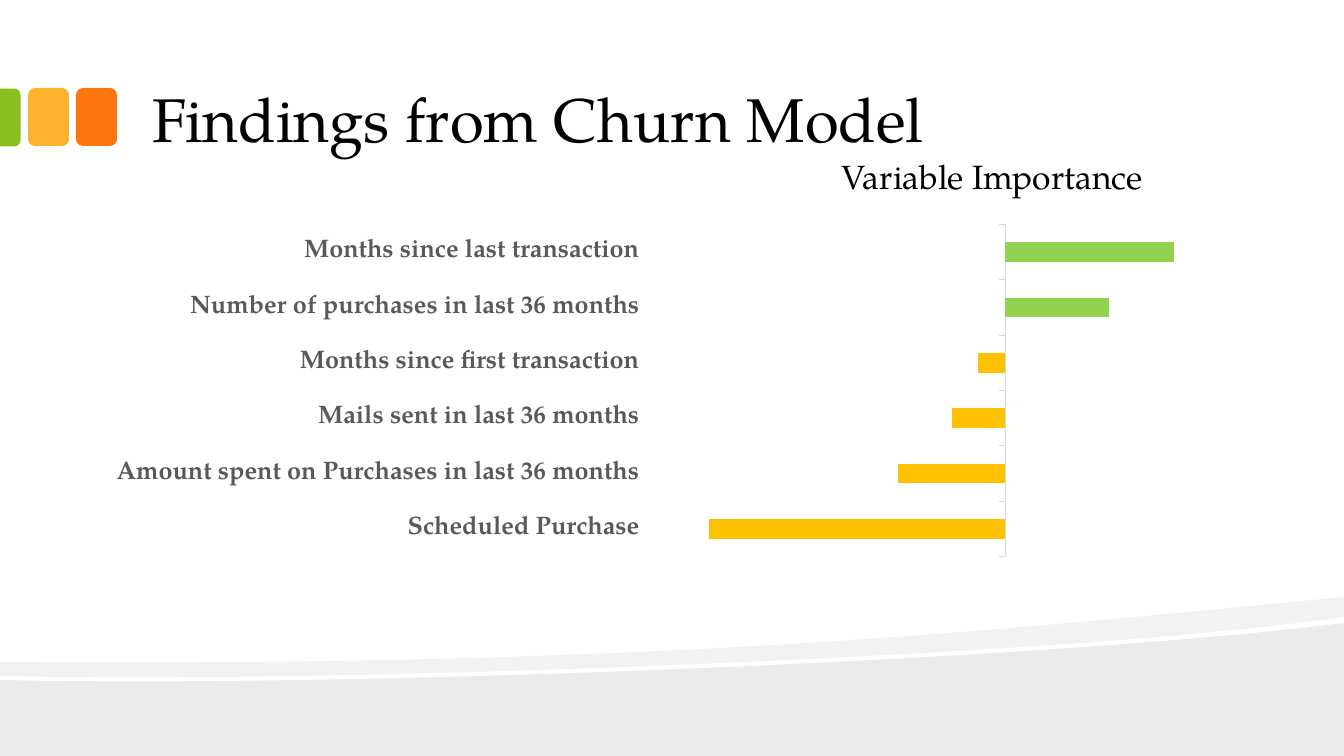
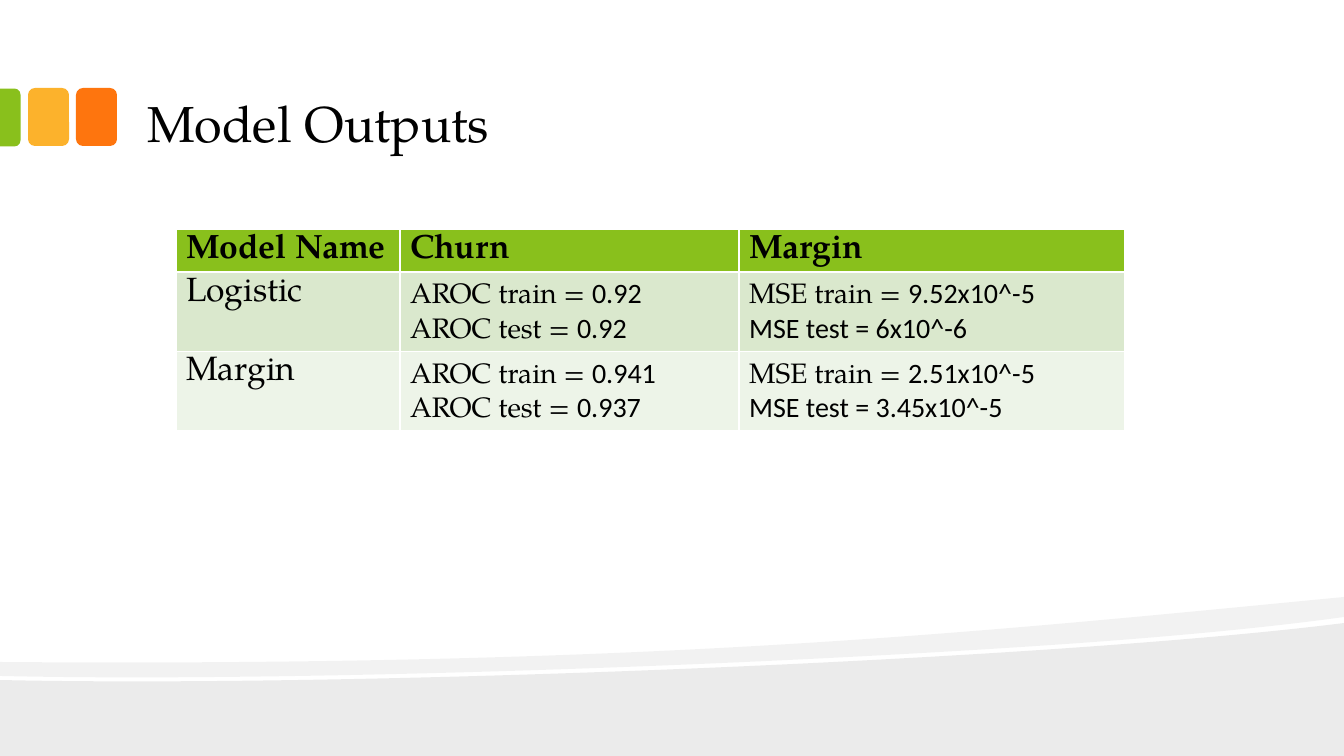
"""Build two slides on the findings and outputs of a churn model."""
from lxml.etree import SubElement
from pptx import Presentation
from pptx.chart.data import CategoryChartData
from pptx.dml.color import RGBColor
from pptx.enum.chart import XL_CHART_TYPE as ChartType, XL_TICK_LABEL_POSITION as LabelPosition
from pptx.enum.chart import XL_TICK_MARK as TickMark
from pptx.enum.shapes import MSO_SHAPE as Preset
from pptx.enum.text import MSO_ANCHOR as Anchor, MSO_AUTO_SIZE as AutoSize, PP_ALIGN as Align
from pptx.oxml import parse_xml
from pptx.oxml.ns import nsdecls, qn
from pptx.util import Pt

PX = 9071
SERIF, SANS = "TeX Gyre Pagella", "Calibri"
BLACK, GREY, RULE = "000000", "595959", "D9D9D9"
GREEN, YELLOW, ORANGE = "89C01C", "FCB22C", "FE750E"
POSITIVE, NEGATIVE = "92D050", "FFC000"
ROW_FILLS = [GREEN, "DAE8CD", "EDF4E8"]


def paint(fill, color, opacity=100):
    fill.solid()
    fill.fore_color.rgb = RGBColor.from_string(color)
    if opacity < 100:
        color_node = next(fill.fore_color._xFill.iter(qn("a:srgbClr")))
        SubElement(color_node, qn("a:alpha"), val=str(opacity * 1000))


def write(frame, *lines, size=24, bold=False):
    for number, line in enumerate(lines):
        paragraph = frame.add_paragraph() if number else frame.paragraphs[0]
        paragraph.alignment = Align.LEFT
        for words, font_name in line:
            run = paragraph.add_run()
            run.text = words
            run.font.name, run.font.size, run.font.bold = font_name, Pt(size), bold
            paint(run.font.fill, BLACK)


deck = Presentation()
deck.slide_width, deck.slide_height = 1344 * PX, 756 * PX
layout = deck.slide_layouts[5]
findings, outputs = [deck.slides.add_slide(layout) for _ in range(2)]

decor = []
waves = [
    (8, [[(1344, 623)], [(1344, 756)], [(0, 756)], [(0, 680)],
         [(355, 688), (1050, 660), (1344, 623)]]),
    (5, [[(1344, 597)], [(1344, 617)],
         [(1265, 628), (1158, 638), (1037, 646)],
         [(704, 668), (260, 682), (0, 676)], [(0, 662)],
         [(657, 667), (979, 632), (1344, 597)]]),
]
for opacity, segments in waves:
    corners = [(x * PX, y * PX) for segment in segments for x, y in segment]
    builder = findings.shapes.build_freeform(*corners[0])
    builder.add_line_segments(corners[1:])
    wave = builder.convert_to_shape()
    edges = iter(list(wave.element.iter(qn("a:lnTo"))))
    for segment in segments[1:]:
        first, *others = [next(edges) for _ in segment]
        if others:
            curve = parse_xml(f'<a:cubicBezTo {nsdecls("a")}/>')
            first.addprevious(curve)
            for edge in (first, *others):
                curve.append(edge[0])
                edge.getparent().remove(edge)
    paint(wave.fill, BLACK, opacity)
    decor.append(wave)

tabs = [
    (Preset.ROUNDED_RECTANGLE, (76, 88, 41, 58), 0, ORANGE),
    (Preset.ROUNDED_RECTANGLE, (28, 88, 41, 58), 0, YELLOW),
    (Preset.ROUND_2_SAME_RECTANGLE, (-19, 107, 58, 21), 90, GREEN),
]
for preset, box, rotation, color in tabs:
    tab = findings.shapes.add_shape(preset, *[side * PX for side in box])
    tab.rotation = rotation
    if rotation:
        tab.adjustments[0] = 0.29
    paint(tab.fill, color)
    decor.append(tab)

for number, piece in enumerate(decor, 20):
    piece.shadow.inherit = False
    piece.line.fill.background()
    next(piece.element.iter(qn("p:cNvPr"))).set("id", str(number))
    layout.shapes.element.append(piece.element)

titles = [
    (findings, "Findings from Churn Model", (142, 76, 1101, 85), 44, Anchor.TOP, (10, 5)),
    (outputs, "Model Outputs", (134, 17, 1075, 143), 36, Anchor.BOTTOM, (13, 7)),
]
for slide, words, box, size, anchor, (side_margin, end_margin) in titles:
    title = slide.shapes.title
    title.left, title.top, title.width, title.height = [side * PX for side in box]
    frame = title.text_frame
    frame.word_wrap, frame.auto_size, frame.vertical_anchor = True, AutoSize.NONE, anchor
    frame.margin_left = frame.margin_right = side_margin * PX
    frame.margin_top = frame.margin_bottom = end_margin * PX
    write(frame, [(words, SERIF)], size=size)

importance = {
    "Scheduled Purchase": -100,
    "Amount spent on Purchases in last 36 months": -36,
    "Mails sent in last 36 months": -18,
    "Months since first transaction": -9,
    "Number of purchases in last 36 months": 35,
    "Months since last transaction": 57,
}
chart_data = CategoryChartData()
chart_data.categories = list(importance)
chart_data.add_series("Series 1", list(importance.values()))
chart = findings.shapes.add_chart(
    ChartType.BAR_CLUSTERED, 80 * PX, 210 * PX, 1186 * PX, 361 * PX, chart_data).chart
chart.has_title = chart.has_legend = False
chart.font.name, chart.font.size, chart.font.bold = SERIF, Pt(18), True
paint(chart.font.fill, BLACK)

variables = chart.category_axis
variables.tick_label_position = LabelPosition.LOW
variables.major_tick_mark = TickMark.OUTSIDE
variables.has_major_gridlines = False
variables.format.line.width = Pt(0.75)
paint(variables.format.line.fill, RULE)
label_font = variables.tick_labels.font
label_font.name, label_font.size, label_font.bold = SERIF, Pt(18), True
paint(label_font.fill, GREY)

scores = chart.value_axis
scores.minimum_scale, scores.maximum_scale = -120, 80
scores.has_major_gridlines = scores.visible = False

bars = chart.plots[0]
bars.gap_width = 182
bars.vary_by_categories = False
series = bars.series[0]
series.invert_if_negative = False
paint(series.format.fill, NEGATIVE)
for index, value in enumerate(importance.values()):
    if value > 0:
        paint(series.points[index].format.fill, POSITIVE)

plot_area = next(chart.element.iter(qn("c:plotArea")))
for old_layout in plot_area.findall(qn("c:layout")):
    plot_area.remove(old_layout)
sides = {"x": 0.48, "y": 0.04, "w": 0.5, "h": 0.92}
plot_area.insert(0, parse_xml(
    f'<c:layout {nsdecls("c")}><c:manualLayout><c:layoutTarget val="inner"/>'
    '<c:xMode val="edge"/><c:yMode val="edge"/>'
    + "".join(f'<c:{side} val="{share}"/>' for side, share in sides.items())
    + "</c:manualLayout></c:layout>"))

caption = findings.shapes.add_textbox(832 * PX, 151 * PX, 400 * PX, 50 * PX)
caption.text_frame.word_wrap = True
write(caption.text_frame, [("Variable Importance", SERIF)])

cells = [
    [[[("Model Name", SERIF)]], [[("Churn", SERIF)]], [[("Margin", SERIF)]]],
    [[[("Logistic", SERIF)]],
     [[("AROC train = ", SERIF), ("0.92", SANS)], [("AROC test = ", SERIF), ("0.92", SANS)]],
     [[("MSE train = ", SERIF), ("9.52x10^-5", SANS)], [("MSE test = 6x10^-6", SANS)]]],
    [[[("Margin", SERIF)]],
     [[("AROC train = ", SERIF), ("0.941", SANS)], [("AROC test = ", SERIF), ("0.937", SANS)]],
     [[("MSE train = ", SERIF), ("2.51x10^-5", SANS)], [("MSE test = 3.45x10^-5", SANS)]]],
]
results = outputs.shapes.add_table(3, 3, 176 * PX, 229 * PX, 949 * PX, 200 * PX).table
for column, width in zip(results.columns, (224, 339, 386)):
    column.width = width * PX
for row, height in zip(results.rows, (42, 79, 79)):
    row.height = height * PX
for r, row in enumerate(cells):
    for c, lines in enumerate(row):
        cell = results.cell(r, c)
        paint(cell.fill, ROW_FILLS[r])
        write(cell.text_frame, *lines, size=24 if 0 in (r, c) else 20, bold=r == 0)

deck.save("out.pptx")
